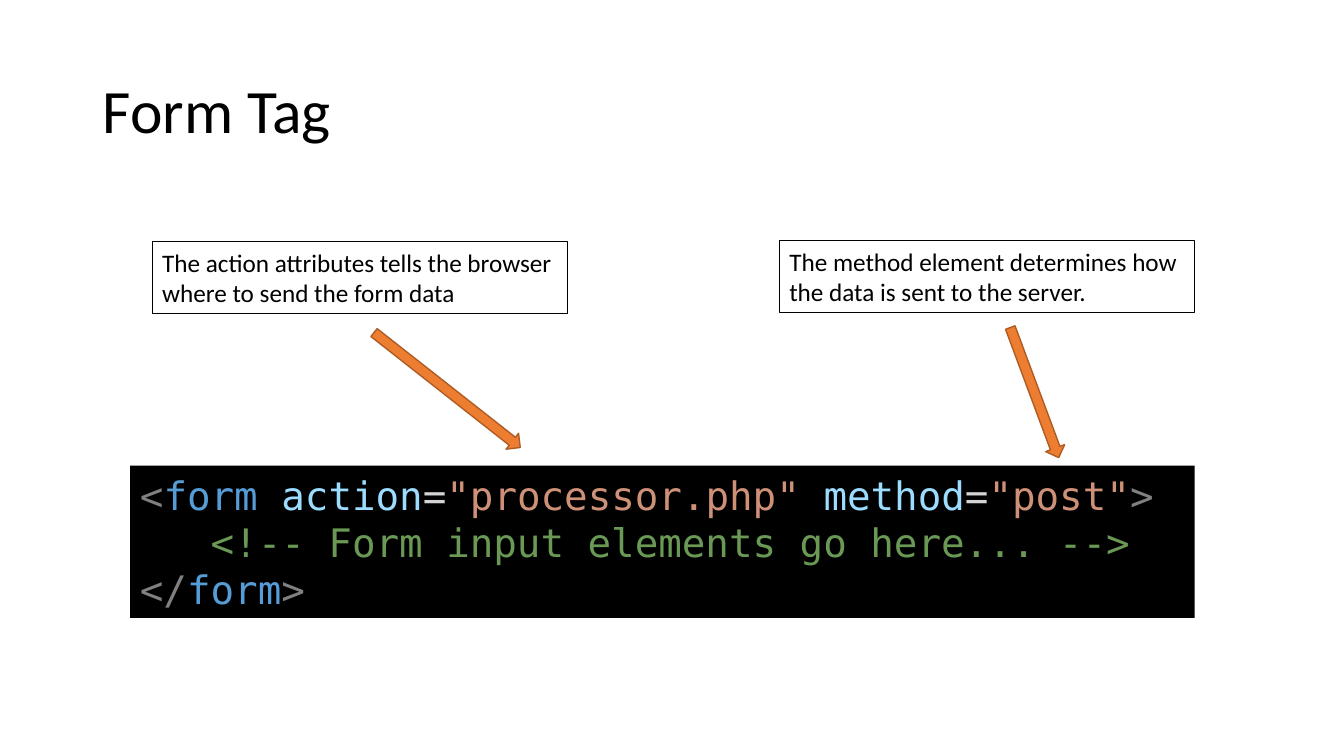
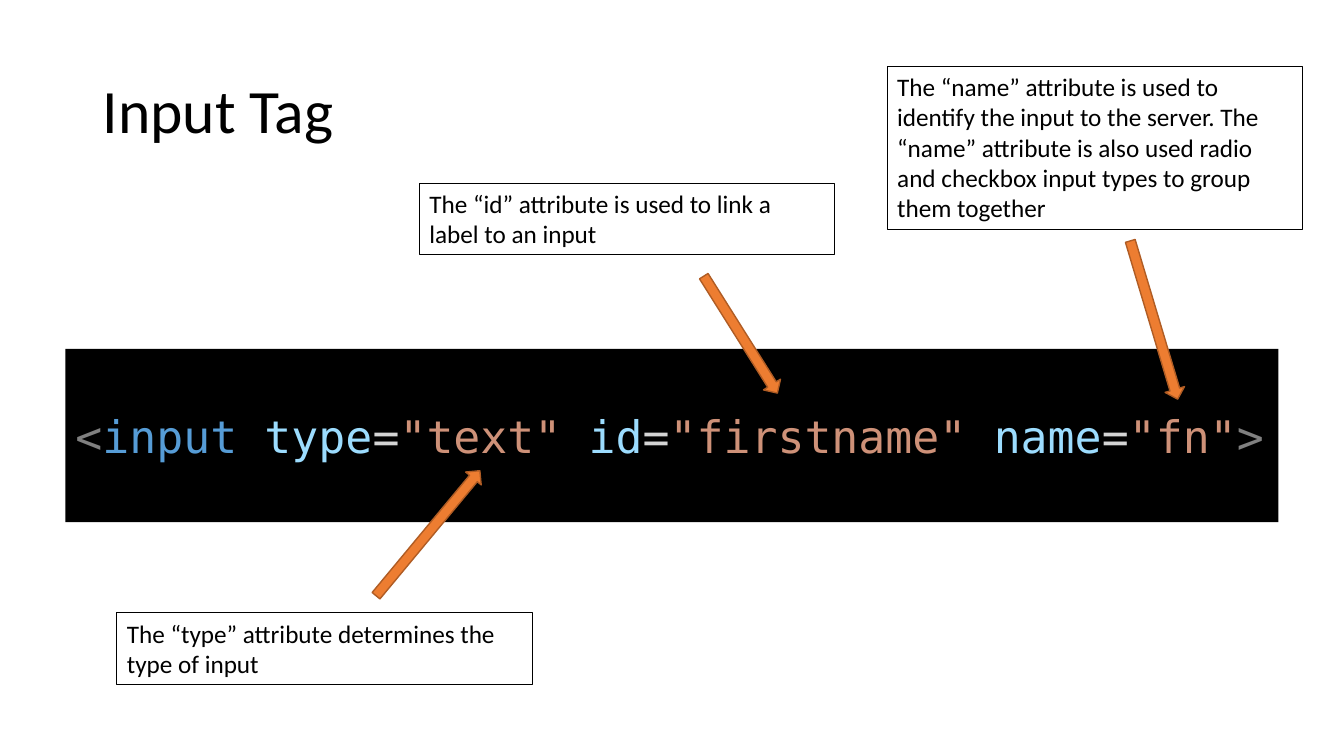
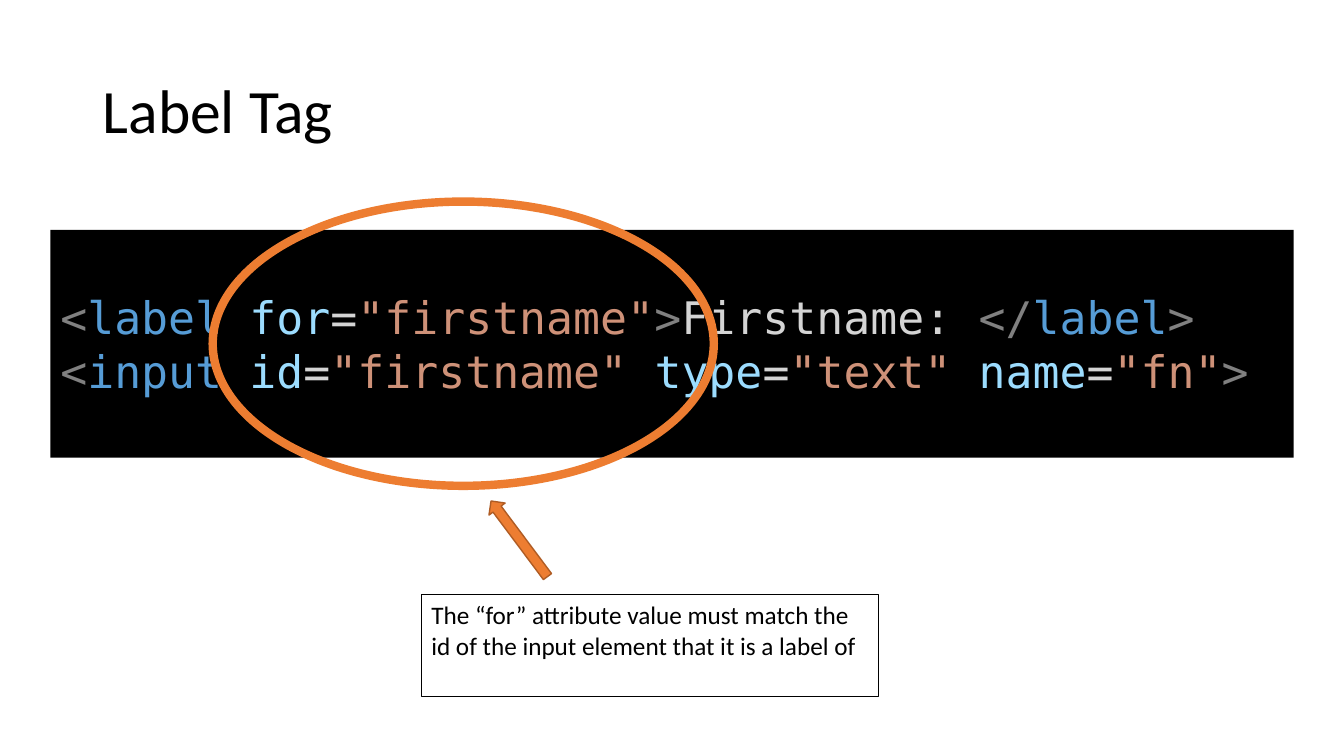
import math

import pptx
import pptx.dml.color
import pptx.enum.shapes
import pptx.enum.text
import pptx.util

RGBColor = pptx.dml.color.RGBColor
Inches = pptx.util.Inches
Pt = pptx.util.Pt
SHAPE = pptx.enum.shapes.MSO_SHAPE
ANCHOR = pptx.enum.text.MSO_ANCHOR
ALIGN = pptx.enum.text.PP_ALIGN

# Shared style
BLACK = RGBColor(0x00, 0x00, 0x00)
ORANGE = RGBColor(0xED, 0x7D, 0x31)
RUST = RGBColor(0xAF, 0x5C, 0x24)
BRACKET = RGBColor(0x80, 0x80, 0x80)
TAG = RGBColor(0x56, 0x9C, 0xD6)
ATTRIBUTE = RGBColor(0x9C, 0xDC, 0xFE)
PLAIN = RGBColor(0xD4, 0xD4, 0xD4)
VALUE = RGBColor(0xCE, 0x91, 0x78)
COMMENT = RGBColor(0x6A, 0x99, 0x55)

TEXT_FONT = "Calibri"
CODE_FONT = "DejaVu Sans Mono"
SLIDE_SIZE = (13.33, 7.5)
TITLE_AREA = (0.92, 0.4, 11.5, 1.45)
CALLOUT_WIDTH, CALLOUT_HEIGHT = 4.12, 0.71
ARROW_WIDTH = 0.2

# Content: code lines are lists of (text, colour); arrows run from tail to tip
SLIDES = [
    {
        "title": "Form Tag",
        "code_area": (1.29, 4.62, 10.56, 1.51),
        "code_size": 28,
        "code": [
            [("<", BRACKET), ("form ", TAG),
             ("action", ATTRIBUTE), ("=", PLAIN), ('"processor.php" ', VALUE),
             ("method", ATTRIBUTE), ("=", PLAIN), ('"post"', VALUE), (">", BRACKET)],
            [("   <!-- Form input elements go here... -->", COMMENT)],
            [("</", BRACKET), ("form", TAG), (">", BRACKET)],
        ],
        "callouts": [
            {"text": "The action attributes tells the browser where to send the form data",
             "corner": (1.51, 2.4), "arrow": ((3.71, 3.3), (5.16, 4.44))},
            {"text": "The method element determines how the data is sent to the server.",
             "corner": (7.73, 2.39), "arrow": ((10.02, 3.25), (10.5, 4.54))},
        ],
    },
    {
        "title": "Input Tag",
        "code_area": (0.65, 3.46, 12.03, 1.72),
        "code_size": 32,
        "code": [
            [("<", BRACKET), ("input ", TAG),
             ("type", ATTRIBUTE), ("=", PLAIN), ('"text" ', VALUE),
             ("id", ATTRIBUTE), ("=", PLAIN), ('"firstname" ', VALUE),
             ("name", ATTRIBUTE), ("=", PLAIN), ('"fn"', VALUE), (">", BRACKET)],
        ],
        "callouts": [
            {"text": "The “type” attribute determines the type of input",
             "corner": (1.16, 6.08), "arrow": ((3.73, 5.91), (4.76, 4.67))},
            {"text": "The “id” attribute is used to link a label to an input",
             "corner": (4.16, 1.82), "arrow": ((6.98, 2.74), (7.71, 3.9))},
            {"text": "The “name” attribute is used to identify the input to the server. "
                     "The “name” attribute is also used radio and checkbox input types "
                     "to group them together",
             "corner": (8.8, 0.66), "height": 1.62,
             "arrow": ((11.21, 2.39), (11.68, 3.96))},
        ],
    },
    {
        "title": "Label Tag",
        "code_area": (0.5, 2.28, 12.33, 2.26),
        "code_size": 32,
        "code": [
            [("<", BRACKET), ("label ", TAG),
             ("for", ATTRIBUTE), ("=", PLAIN), ('"firstname"', VALUE), (">", BRACKET),
             ("Firstname: ", PLAIN), ("</", BRACKET), ("label", TAG), (">", BRACKET)],
            [("<", BRACKET), ("input ", TAG),
             ("id", ATTRIBUTE), ("=", PLAIN), ('"firstname" ', VALUE),
             ("type", ATTRIBUTE), ("=", PLAIN), ('"text" ', VALUE),
             ("name", ATTRIBUTE), ("=", PLAIN), ('"fn"', VALUE), (">", BRACKET)],
        ],
        "callouts": [
            {"text": "The “for” attribute value must match the id of the input element "
                     "that it is a label of",
             "corner": (4.18, 5.9), "width": 4.53, "height": 1.01,
             "arrow": ((5.43, 5.72), (4.87, 4.97))},
        ],
        "ring": (2.11, 2, 4.97, 2.82),
    },
]


def write(box, lines, *, size, font=TEXT_FONT, anchor=ANCHOR.TOP, spacing=1.0):
    """Fill a box with lines, each a list of (text, colour) spans."""
    frame = box.text_frame
    frame.word_wrap = True
    frame.vertical_anchor = anchor
    for index, line in enumerate(lines):
        para = frame.add_paragraph() if index else frame.paragraphs[0]
        para.alignment = ALIGN.LEFT
        para.line_spacing = spacing
        for text, colour in line:
            span = para.add_run()
            span.text = text
            span.font.size = Pt(size)
            span.font.name = font
            span.font.color.rgb = colour


def add_shape(page, kind, area, *, fill=None, line=None, weight=0.75):
    shape = page.shapes.add_shape(kind, *map(Inches, area))
    shape.shadow.inherit = False
    if fill is None:
        shape.fill.background()
    else:
        shape.fill.solid()
        shape.fill.fore_color.rgb = fill
    if line is None:
        shape.line.fill.background()
    else:
        shape.line.color.rgb = line
        shape.line.width = Pt(weight)
    return shape


def add_arrow(page, tail, tip):
    length = math.dist(tail, tip)
    left = (tail[0] + tip[0] - length) / 2
    top = (tail[1] + tip[1] - ARROW_WIDTH) / 2
    arrow = add_shape(page, SHAPE.RIGHT_ARROW, (left, top, length, ARROW_WIDTH),
                      fill=ORANGE, line=RUST, weight=1)
    arrow.rotation = math.degrees(math.atan2(tip[1] - tail[1], tip[0] - tail[0]))


def add_callout(page, callout):
    area = (*callout["corner"], callout.get("width", CALLOUT_WIDTH),
            callout.get("height", CALLOUT_HEIGHT))
    box = add_shape(page, SHAPE.RECTANGLE, area, line=BLACK)
    write(box, [[(callout["text"], BLACK)]], size=18)
    add_arrow(page, *callout["arrow"])


def build_page(deck, content):
    page = deck.slides.add_slide(deck.slide_layouts[6])

    # Title
    title = page.shapes.add_textbox(*map(Inches, TITLE_AREA))
    write(title, [[(content["title"], BLACK)]], size=44,
          anchor=ANCHOR.MIDDLE, spacing=0.9)

    # Code panel
    panel = add_shape(page, SHAPE.RECTANGLE, content["code_area"], fill=BLACK)
    write(panel, content["code"], size=content["code_size"], font=CODE_FONT,
          anchor=ANCHOR.MIDDLE)

    # Explanations
    for callout in content["callouts"]:
        add_callout(page, callout)
    if "ring" in content:
        add_shape(page, SHAPE.OVAL, content["ring"], line=ORANGE, weight=6)


def main():
    deck = pptx.Presentation()
    deck.slide_width, deck.slide_height = map(Inches, SLIDE_SIZE)
    for content in SLIDES:
        build_page(deck, content)
    deck.save("out.pptx")


if __name__ == "__main__":
    main()
